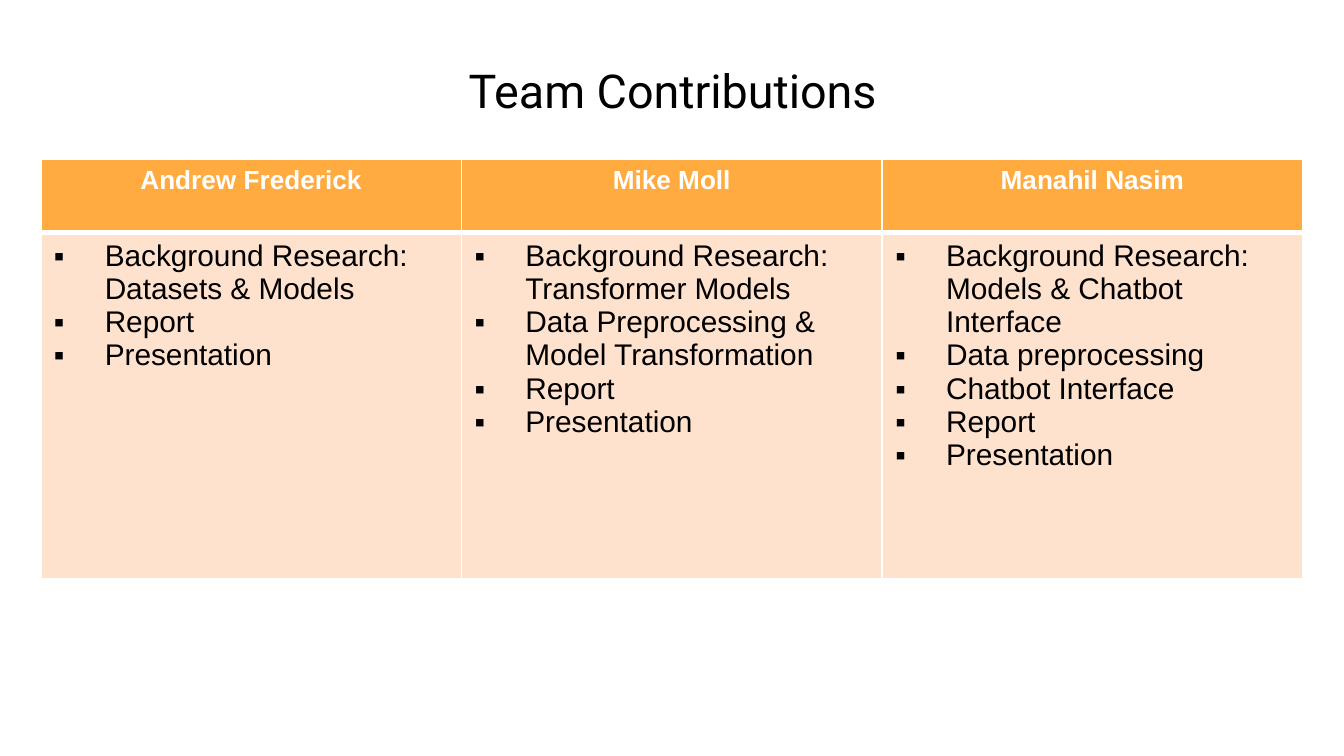
from lxml import etree
from pptx import Presentation
from pptx.dml.color import RGBColor
from pptx.enum.text import MSO_ANCHOR, MSO_AUTO_SIZE, PP_ALIGN
from pptx.oxml.ns import qn
from pptx.util import Cm, Pt

CENTER, LEFT = PP_ALIGN.CENTER, PP_ALIGN.LEFT
TOP, MIDDLE = MSO_ANCHOR.TOP, MSO_ANCHOR.MIDDLE
NO_FIT = MSO_AUTO_SIZE.NONE

BLACK = RGBColor(0x00, 0x00, 0x00)
WHITE = RGBColor(0xFF, 0xFF, 0xFF)
ORANGE = RGBColor(0xFF, 0xAB, 0x40)
PEACH = RGBColor(0xFF, 0xE2, 0xCD)

TEAM = {
    "Andrew Frederick": [
        "Background Research: Datasets & Models",
        "Report",
        "Presentation",
    ],
    "Mike Moll": [
        "Background Research: Transformer Models",
        "Data Preprocessing & Model Transformation",
        "Report",
        "Presentation",
    ],
    "Manahil Nasim": [
        "Background Research: Models & Chatbot Interface",
        "Data preprocessing",
        "Chatbot Interface",
        "Report",
        "Presentation",
    ],
}


def add_run(para, text, font, size, color, bold=False):
    run = para.add_run()
    run.text = text
    run.font.name = font
    run.font.size = Pt(size)
    run.font.bold = bold
    run.font.color.rgb = color


def add_color(parent, color):
    etree.SubElement(parent, qn("a:srgbClr"), val=str(color))


def add_bullet(para):
    props = para._p.get_or_add_pPr()
    props.set("marL", str(Cm(0.96)))
    props.set("indent", str(-Cm(0.96)))
    add_color(etree.SubElement(props, qn("a:buClr")), BLACK)
    etree.SubElement(props, qn("a:buFont"), typeface="Arial")
    etree.SubElement(props, qn("a:buChar"), char="▪")


def set_edges(cell, top, bottom):
    """Draw white cell borders; side borders are one point wide."""
    props = cell._tc.get_or_add_tcPr()
    edges = [("L", 1), ("R", 1), ("T", top), ("B", bottom)]
    for place, (side, width) in enumerate(edges):
        line = etree.Element(qn(f"a:ln{side}"), w=str(Pt(width)))
        add_color(etree.SubElement(line, qn("a:solidFill")), WHITE)
        props.insert(place, line)


def fill_cell(cell, lines, head):
    cell.margin_left = cell.margin_right = Cm(0.25)
    cell.margin_top = cell.margin_bottom = Cm(0.13)
    cell.vertical_anchor = TOP
    cell.fill.solid()
    cell.fill.fore_color.rgb = ORANGE if head else PEACH
    set_edges(cell, 1 if head else 3, 3 if head else 1)
    frame = cell.text_frame
    for place, line in enumerate(lines):
        para = frame.add_paragraph() if place else frame.paragraphs[0]
        para.alignment = CENTER if head else LEFT
        if head:
            add_run(para, line, "Arial", 14, WHITE, bold=True)
        else:
            add_bullet(para)
            add_run(para, line, "Arial", 16, BLACK)


def put_title(slide, left, top, width, height):
    title = slide.shapes.title
    title.left, title.top = left, top
    title.width, title.height = width, height
    frame = title.text_frame
    frame.auto_size = NO_FIT
    frame.vertical_anchor = MIDDLE
    frame.margin_left = frame.margin_right = Cm(0.25)
    frame.margin_top = frame.margin_bottom = Cm(0.25)
    para = frame.paragraphs[0]
    para.alignment = CENTER
    add_run(para, "Team Contributions", "Roboto", 25, BLACK)


def put_table(slide, left, top, width, height):
    shape = slide.shapes.add_table(2, len(TEAM), left, top, width, height)
    table = shape.table
    table.rows[0].height = Cm(1.4)
    table.rows[1].height = height - Cm(1.4)
    for col, (name, tasks) in enumerate(TEAM.items()):
        fill_cell(table.cell(0, col), [name], head=True)
        fill_cell(table.cell(1, col), tasks, head=False)


def main():
    deck = Presentation()
    deck.slide_width, deck.slide_height = Cm(25.4), Cm(14.29)
    slide = deck.slides.add_slide(deck.slide_layouts[5])  # title only

    # Heading
    put_title(slide, Cm(1.98), Cm(1.14), Cm(21.46), Cm(1.12))
    # One column per team member
    put_table(slide, Cm(0.77), Cm(3), Cm(23.85), Cm(7.95))

    deck.save("out.pptx")


if __name__ == "__main__":
    main()
